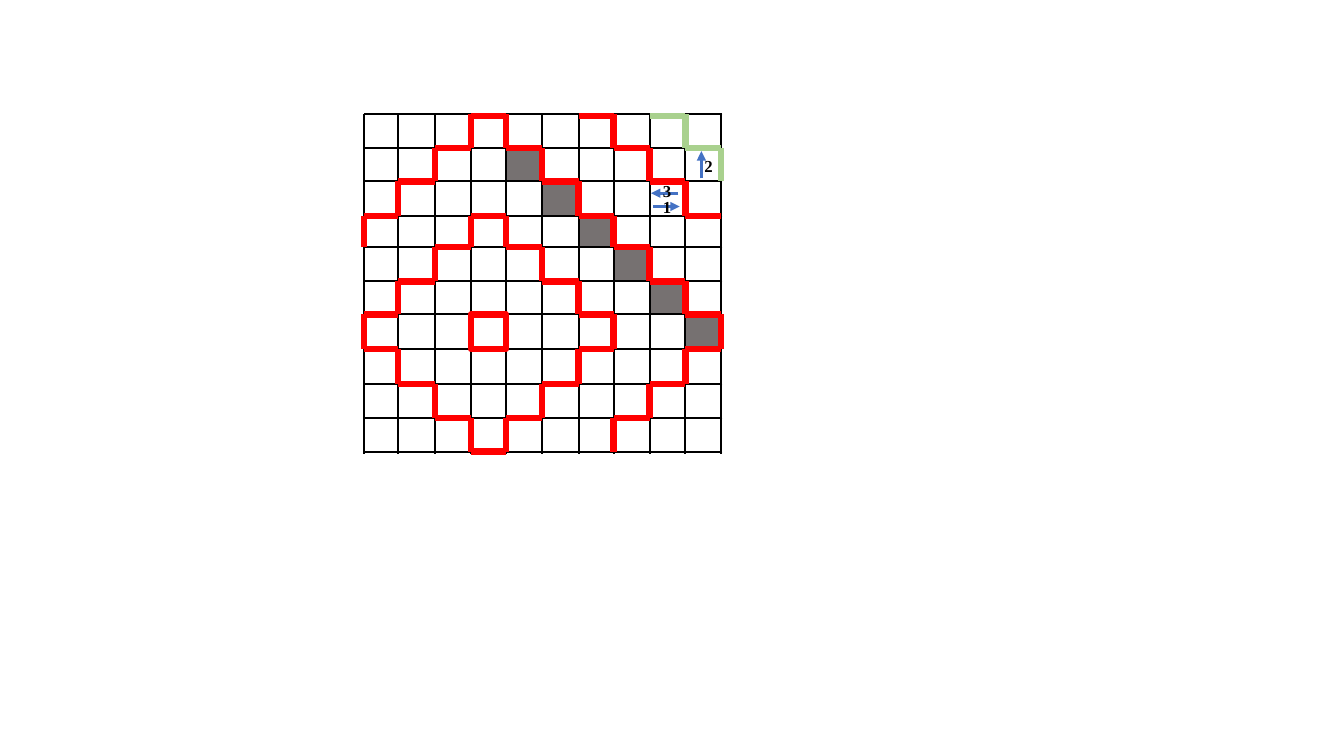
from lxml import etree
from pptx import Presentation
from pptx.dml.color import RGBColor
from pptx.enum.shapes import MSO_CONNECTOR, MSO_SHAPE
from pptx.enum.text import MSO_AUTO_SIZE
from pptx.oxml.ns import qn
from pptx.util import Pt

STRAIGHT = MSO_CONNECTOR.STRAIGHT
RECT = MSO_SHAPE.RECTANGLE
GROW = MSO_AUTO_SIZE.SHAPE_TO_FIT_TEXT

COLORS = {
    "grid": "000000",
    "gray": "767171",
    "red": "FF0000",
    "green": "A9D18E",
    "blue": "4472C4",
}

deck = Presentation()
deck.slide_width = Pt(960)
deck.slide_height = Pt(540)
slide = deck.slides.add_slide(deck.slide_layouts[6])
shapes = slide.shapes


def rgb(name):
    return RGBColor.from_string(COLORS[name])


def draw_line(x1, y1, x2, y2, color, width):
    line = shapes.add_connector(STRAIGHT, Pt(x1), Pt(y1), Pt(x2), Pt(y2))
    line.line.color.rgb = rgb(color)
    line.line.width = Pt(width)
    etree.SubElement(line._element.spPr, qn("a:effectLst"))
    return line


cols = [260, 284.5, 310.5, 336.2, 361.5, 387, 413.3, 438.3, 464, 489.6, 514.8]
rows = [81.5, 105.8, 129.6, 154.2, 176.6, 201, 224.6, 249.3, 274.3, 298.8, 322.6]
right, bottom = 516, 324

for i in range(6):
    col, row = 4 + i, 1 + i
    left, top = cols[col] + 1, rows[row] + 1.2
    cell = shapes.add_shape(
        RECT, Pt(left), Pt(top), Pt(cols[col + 1] - left - 1), Pt(rows[row + 1] - top - 1)
    )
    cell.shadow.inherit = False
    cell.fill.solid()
    cell.fill.fore_color.rgb = rgb("gray")
    cell.line.color.rgb = rgb("gray")
    cell.line.width = Pt(1)

for x in cols:
    draw_line(x, rows[0], x, bottom, "grid", 1.5)
for y in rows:
    draw_line(right, y, cols[0], y, "grid", 1.5)

core = shapes.add_shape(
    RECT, Pt(cols[3]), Pt(rows[6]), Pt(cols[4] - cols[3]), Pt(rows[7] - rows[6])
)
core.shadow.inherit = False
core.fill.background()
core.line.color.rgb = rgb("red")
core.line.width = Pt(4.5)

steps = {"R": (1, 0), "L": (-1, 0), "U": (0, -1), "D": (0, 1)}
stairs = [
    (3, 3, "RD" * 4 + "LD" * 3 + "L" + "UL" * 3 + "UR" * 3 + "U", "red"),
    (0, 4, "UR" * 4 + "DR" * 6 + "DL" * 3 + "D", "red"),
    (6, 0, "RD" * 3 + "R", "red"),
    (8, 0, "RD" * 2, "green"),
]
for col, row, moves, color in stairs:
    for move in moves:
        dx, dy = steps[move]
        drop = 1.3 if row == 0 and dx else 0
        draw_line(
            cols[col], rows[row] + drop, cols[col + dx], rows[row + dy] + drop, color, 4.5
        )
        col, row = col + dx, row + dy

arrows = [
    (466.5, 147.5, 485.5, 147.5),
    (501, 127.5, 501, 108),
    (484.5, 138, 465, 138),
]
for ends in arrows:
    arrow = draw_line(*ends, "blue", 2.25)
    etree.SubElement(arrow.line._get_or_add_ln(), qn("a:tailEnd"), type="triangle")

labels = [("1", 466.5, 136.8), ("2", 496, 108), ("3", 466.5, 125.3)]
for text, left, top in labels:
    box = shapes.add_textbox(Pt(left), Pt(top), Pt(19.5), Pt(21.6))
    frame = box.text_frame
    frame.word_wrap = True
    frame.auto_size = GROW
    para = frame.paragraphs[0]
    para.text = text
    para.font.name = "Times New Roman"
    para.font.size = Pt(12)
    para.font.bold = True
    para.font.color.rgb = rgb("grid")

deck.save("out.pptx")
